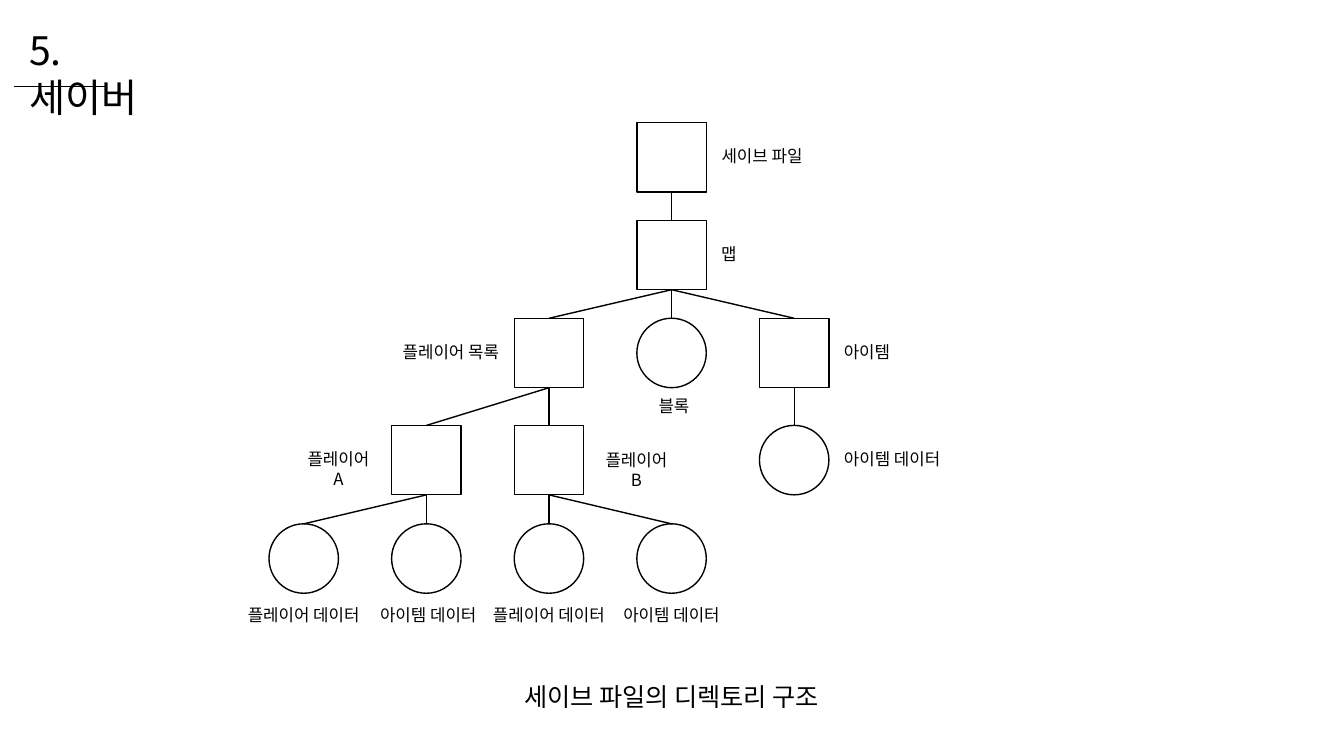
from pptx import Presentation
from pptx.dml.color import RGBColor
from pptx.enum.shapes import MSO_CONNECTOR as CONN, MSO_SHAPE as SHAPE
from pptx.enum.text import MSO_ANCHOR as ANCHOR, MSO_AUTO_SIZE as AUTO, PP_ALIGN as ALIGN
from pptx.oxml.ns import qn
from pptx.util import Cm, Pt
from lxml import etree

TITLE = "5. 세이버"
CAPTION = "세이브 파일의 디렉토리 구조"
# key: parent, kind, column, row, label, label side, label width, label nudge
NODES = {
    "save": (None, "dir", 3, 0, "세이브 파일", "right", 2.57, (0, 0)),
    "map": ("save", "dir", 3, 1, "맵", "right", 0.89, (0, 0)),
    "players": ("map", "dir", 2, 2, "플레이어 목록", "left", 2.95, (0, 0)),
    "items": ("map", "dir", 4, 2, "아이템", "right", 1.68, (0, 0)),
    "blocks": ("map", "file", 3, 2, "블록", "below", 1.3, (0.06, -0.08)),
    "item": ("items", "file", 4, 3, "아이템 데이터", "right", 2.95, (0, 0)),
    "b": ("players", "dir", 2, 3, "플레이어\vB", "right", 2.54, (-0.06, 0.02)),
    "a": ("players", "dir", 1, 3, "플레이어\vA", "left", 2.54, (0.05, 0)),
    "a_item": ("a", "file", 1, 4, "아이템 데이터", "below", 2.95, (0.05, 0)),
    "a_data": ("a", "file", 0, 4, "플레이어 데이터", "below", 3.43, (0, 0)),
    "b_data": ("b", "file", 2, 4, "플레이어 데이터", "below", 3.43, (0, 0)),
    "b_item": ("b", "file", 3, 4, "아이템 데이터", "below", 2.95, (0, 0)),
}
KINDS = {"dir": SHAPE.RECTANGLE, "file": SHAPE.OVAL}
THEME = {
    "font": "Noto Sans CJK KR",
    "ink": RGBColor(0, 0, 0),
    "paper": RGBColor(255, 255, 255),
    "title": Pt(28), "caption": Pt(18), "label": Pt(12),
    "rule": Pt(0.5), "edge": Pt(1),
}
SIZE, FIRST_X, STEP_X = 1.75, 6.78, 3.09
ROW_TOPS = (3.09, 5.55, 8.02, 10.72, 13.2)
GAP, LABEL_H = 0.12, 0.77

prs = Presentation()
prs.slide_width, prs.slide_height = Cm(33.87), Cm(19.05)
s = prs.slides.add_slide(prs.slide_layouts[5])


def write(sp, text, size, align):
    tf = sp.text_frame
    tf.text = text
    frame = {"word_wrap": True, "auto_size": AUTO.SHAPE_TO_FIT_TEXT,
             "vertical_anchor": ANCHOR.TOP}
    for name, value in frame.items():
        setattr(tf, name, value)
    p = tf.paragraphs[0]
    p.alignment = align
    for r in p.runs:
        for name, value in {"name": THEME["font"], "size": THEME[size]}.items():
            setattr(r.font, name, value)
        r.font.color.rgb = THEME["ink"]
        ea = etree.SubElement(r.font._element, qn("a:ea"))
        ea.set("typeface", THEME["font"])


def add_text(text, x, y, w, h, size):
    sp = s.shapes.add_textbox(Cm(x), Cm(y), Cm(w), Cm(h))
    write(sp, text, size, ALIGN.CENTER)


def add_line(x1, y1, x2, y2, width):
    sp = s.shapes.add_connector(CONN.STRAIGHT, Cm(x1), Cm(y1), Cm(x2), Cm(y2))
    sp.line.color.rgb = THEME["ink"]
    sp.line.width = THEME[width]
    etree.SubElement(sp._element.spPr, qn("a:effectLst"))


def corner(key):
    _, _, col, row, *_ = NODES[key]
    return FIRST_X + col * STEP_X, ROW_TOPS[row]


def add_node(key):
    x, y = corner(key)
    sp = s.shapes.add_shape(KINDS[NODES[key][1]], Cm(x), Cm(y), Cm(SIZE), Cm(SIZE))
    sp.shadow.inherit = False
    sp.fill.solid()
    sp.fill.fore_color.rgb = THEME["paper"]
    sp.line.color.rgb = THEME["ink"]
    sp.line.width = THEME["edge"]


def add_edge(key):
    parent = NODES[key][0]
    if parent:
        (x1, y1), (x2, y2) = corner(key), corner(parent)
        add_line(x1 + SIZE / 2, y1, x2 + SIZE / 2, y2 + SIZE, "edge")


def add_label(key):
    *_, text, side, w, (dx, dy) = NODES[key]
    x, y = corner(key)
    lx, ly = {
        "right": (x + SIZE + GAP, y + 0.47),
        "left": (x - GAP - w, y + 0.47),
        "below": (x + (SIZE - w) / 2, y + SIZE + 0.16),
    }[side]
    add_text(text, lx + dx, ly + dy, w, LABEL_H, "label")


title = s.shapes.title
box = {"left": 0.48, "top": 0.53, "width": 4.27, "height": 1.45}
for name, value in box.items():
    setattr(title, name, Cm(value))
write(title, TITLE, "title", ALIGN.LEFT)
add_line(0.36, 2.17, 2.64, 2.17, "rule")
for add in (add_node, add_edge, add_label):
    for key in NODES:
        add(key)
add_text(CAPTION, 12.85, 17.04, 8.15, 1.02, "caption")
prs.save("out.pptx")
